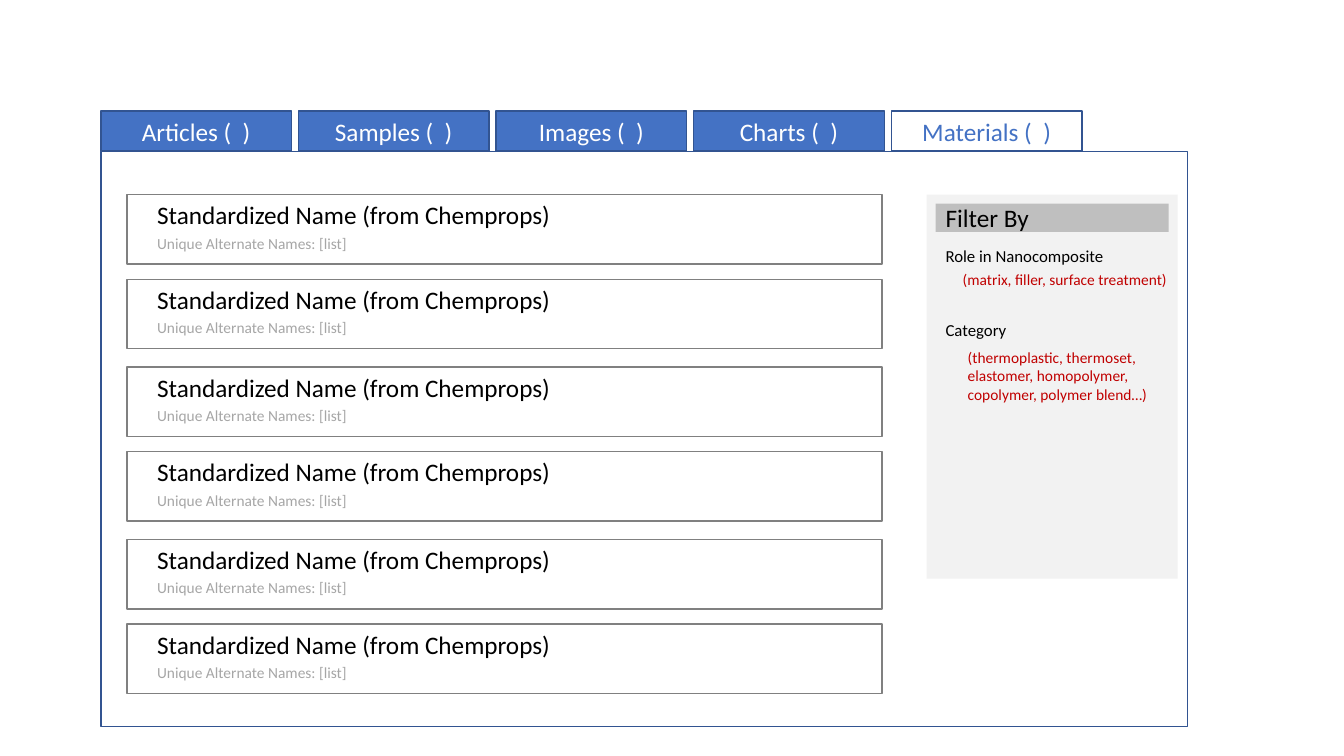
import dataclasses
import itertools
import typing

import pptx
import pptx.dml.color
import pptx.enum.shapes
import pptx.enum.text
import pptx.shapes.autoshape
import pptx.shapes.shapetree
import pptx.util

Inches = pptx.util.Inches
Align = pptx.enum.text.PP_ALIGN
Shapes = typing.Union[
    pptx.shapes.shapetree.SlideShapes, pptx.shapes.shapetree.GroupShapes
]


@dataclasses.dataclass(frozen=True)
class Theme:
    font: str = "Calibri"
    blue: str = "4472C4"
    navy: str = "325491"
    white: str = "FFFFFF"
    black: str = "000000"
    red: str = "C00000"
    panel: str = "F2F2F2"
    heading: str = "BFBFBF"
    border: str = "808080"
    muted: str = "A6A6A6"
    large: int = 18
    medium: int = 12
    small: int = 11
    line: int = 1


THEME = Theme()


@dataclasses.dataclass(frozen=True)
class Label:
    text: str
    size: int
    color: str
    align: Align = Align.LEFT


@dataclasses.dataclass(frozen=True)
class Area:
    left: float
    top: float
    width: float
    height: float

    def lengths(self) -> typing.List[pptx.util.Length]:
        return [Inches(v) for v in dataclasses.astuple(self)]


@dataclasses.dataclass(frozen=True)
class Box:
    area: Area
    fill: typing.Optional[str] = None
    line: typing.Optional[str] = None
    label: typing.Optional[Label] = None


@dataclasses.dataclass(frozen=True)
class Note:
    area: Area
    label: Label


def rgb(color: str) -> pptx.dml.color.RGBColor:
    return pptx.dml.color.RGBColor.from_string(color)


def write(sp: pptx.shapes.autoshape.Shape, label: Label) -> None:
    tf = sp.text_frame
    tf.word_wrap = True
    p = tf.paragraphs[0]
    p.alignment = label.align
    r = p.add_run()
    r.text = label.text
    r.font.name = THEME.font
    r.font.size = pptx.util.Pt(label.size)
    r.font.color.rgb = rgb(label.color)


def draw_box(shapes: Shapes, box: Box) -> None:
    sp = shapes.add_shape(
        pptx.enum.shapes.MSO_SHAPE.RECTANGLE, *box.area.lengths()
    )
    sp.shadow.inherit = False
    if box.fill:
        sp.fill.solid()
        sp.fill.fore_color.rgb = rgb(box.fill)
    else:
        sp.fill.background()
    if box.line:
        sp.line.color.rgb = rgb(box.line)
        sp.line.width = pptx.util.Pt(THEME.line)
    else:
        sp.line.fill.background()
    if box.label:
        sp.text_frame.vertical_anchor = pptx.enum.text.MSO_ANCHOR.MIDDLE
        write(sp, box.label)


def draw_note(shapes: Shapes, note: Note) -> None:
    sp = shapes.add_textbox(*note.area.lengths())
    write(sp, note.label)
    sp.text_frame.auto_size = pptx.enum.text.MSO_AUTO_SIZE.SHAPE_TO_FIT_TEXT


def draw_tabs(shapes: Shapes, names: typing.Sequence[str], active: str) -> None:
    for i, name in enumerate(names):
        fill, color = THEME.blue, THEME.white
        if name == active:
            fill, color = color, fill
        label = Label(f"{name} (  )", THEME.large, color, Align.CENTER)
        area = Area(1 + 1.96 * i, 1.1, 1.89, 0.4)
        draw_box(shapes, Box(area, fill, THEME.navy, label))


def draw_result(shapes: Shapes, top: float) -> None:
    group = shapes.add_group_shape().shapes
    title = Label("Standardized Name (from Chemprops)", THEME.large, THEME.black)
    names = Label("Unique Alternate Names: [list]", THEME.small, THEME.muted)
    draw_note(group, Note(Area(1.46, top, 5.01, 0.4), title))
    draw_note(group, Note(Area(1.46, top + 0.34, 5.81, 0.29), names))
    draw_box(group, Box(Area(1.26, top, 7.49, 0.69), line=THEME.border))


TABS = ("Articles", "Samples", "Images", "Charts", "Materials")
FRAME = Box(Area(1, 1.5, 10.78, 5.71), THEME.white, THEME.navy)
FILTER_BOXES = (
    Box(Area(9.19, 1.93, 2.49, 3.81), THEME.panel),
    Box(
        Area(9.28, 2.02, 2.31, 0.28),
        THEME.heading,
        label=Label("Filter By", THEME.large, THEME.black),
    ),
)
FILTER_NOTES = (
    Note(
        Area(9.28, 2.39, 2.2, 0.3),
        Label("Role in Nanocomposite", THEME.medium, THEME.black),
    ),
    Note(
        Area(9.28, 3.12, 2.31, 0.3),
        Label("Category", THEME.medium, THEME.black),
    ),
    Note(
        Area(9.5, 3.4, 2.14, 0.66),
        Label(
            "(thermoplastic, thermoset, elastomer, homopolymer, "
            "copolymer, polymer blend…)",
            THEME.small,
            THEME.red,
        ),
    ),
    Note(
        Area(9.45, 2.63, 2.42, 0.29),
        Label("(matrix, filler, surface treatment)", THEME.small, THEME.red),
    ),
)


def main() -> None:
    prs = pptx.Presentation()
    prs.slide_width = Inches(13.33)
    prs.slide_height = Inches(7.5)
    s = prs.slides.add_slide(prs.slide_layouts[6])
    draw_box(s.shapes, FRAME)
    draw_tabs(s.shapes, TABS, active="Materials")
    for box in FILTER_BOXES:
        draw_box(s.shapes, box)
    for note in FILTER_NOTES:
        draw_note(s.shapes, note)
    for pair, row in itertools.product(range(3), range(2)):
        draw_result(s.shapes, 1.93 + 1.71 * pair + 0.84 * row)
    prs.save("out.pptx")


if __name__ == "__main__":
    main()
